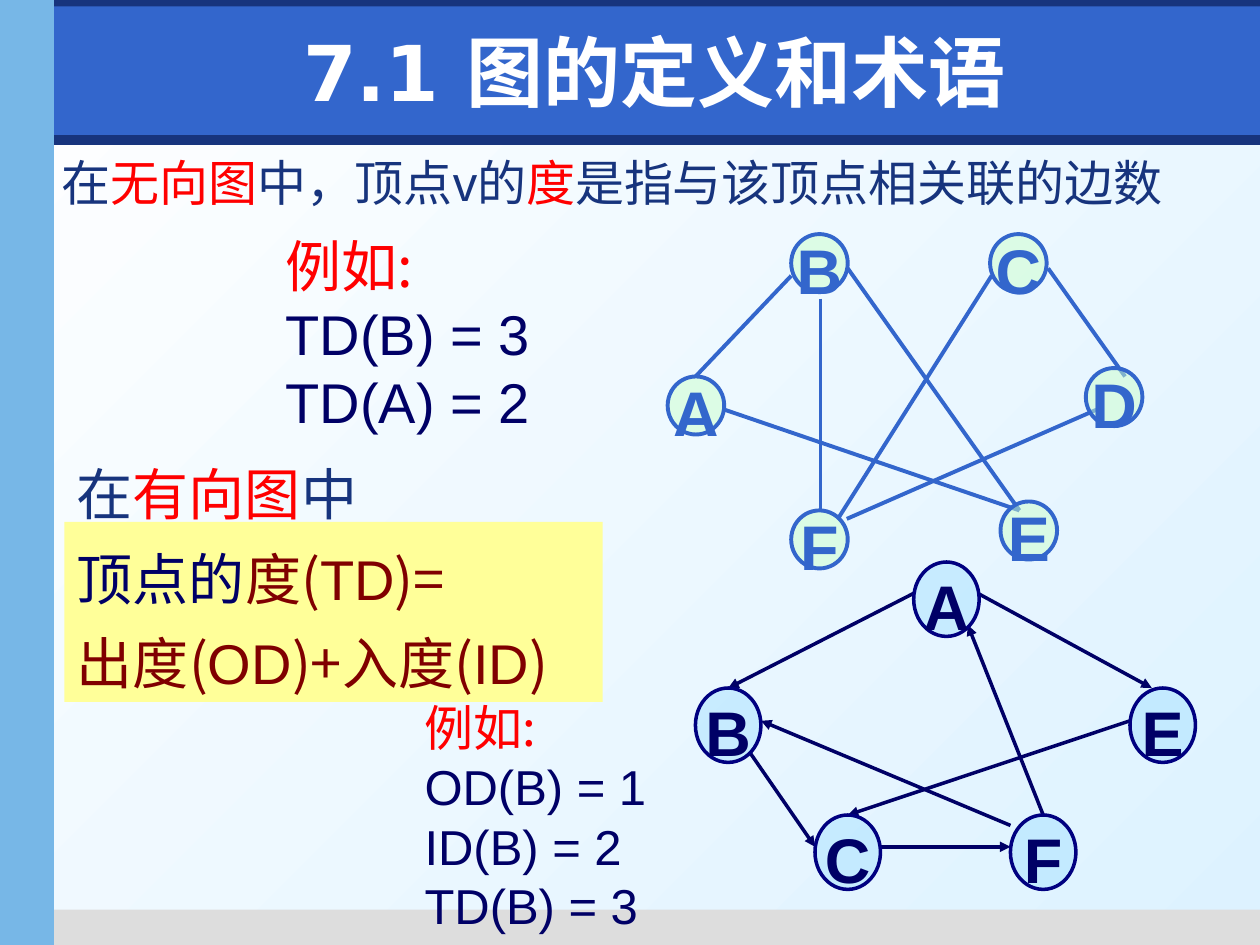
from dataclasses import dataclass

from lxml.etree import SubElement
from pptx import Presentation
from pptx.dml.color import RGBColor
from pptx.enum.shapes import MSO_CONNECTOR as Link, MSO_SHAPE as Form
from pptx.enum.text import MSO_ANCHOR as Anchor, PP_ALIGN as Align
from pptx.oxml.ns import qn
from pptx.util import Cm, Pt

SANS, HAN, BOLD = "Arial", "Noto Sans CJK SC", "DejaVu Sans"
NAVY, DEEP, RED, WINE, BLUE = "17347D", "000066", "FF0000", "800000", "3366CC"


@dataclass
class Run:
    text: str
    hue: str
    font: str = SANS


@dataclass
class Block:
    box: tuple
    size: float
    lines: list
    pitch: float | None = None
    pad: tuple = (0.25, 0)
    fill: str | None = None
    align: Align = Align.LEFT
    lead: float = 0
    bold: bool = False
    anchor: Anchor = Anchor.TOP


@dataclass
class Graph:
    size: tuple
    fill: str
    rim: str
    ink: str
    width: float
    arrow: bool
    nodes: dict
    edges: list


def hue(code: str) -> RGBColor:
    return RGBColor.from_string(code)


def add_run(para, run: Run, size: float, bold: bool) -> None:
    part = para.add_run()
    part.text = run.text
    font = part.font
    font.name, font.size, font.bold = run.font, Pt(size), bold
    font.color.rgb = hue(run.hue)


def add_form(slide, kind: Form, box: tuple, fill: str):
    form = slide.shapes.add_shape(kind, *map(Cm, box))
    form.shadow.inherit = False
    form.fill.solid()
    form.fill.fore_color.rgb = hue(fill)
    form.line.fill.background()
    return form


def add_block(slide, block: Block) -> None:
    if block.fill:
        form = add_form(slide, Form.RECTANGLE, block.box, block.fill)
    else:
        form = slide.shapes.add_textbox(*map(Cm, block.box))
    frame = form.text_frame
    frame.word_wrap = True
    frame.vertical_anchor = block.anchor
    frame.margin_left, frame.margin_right = map(Cm, block.pad)
    for i, line in enumerate(block.lines):
        para = frame.add_paragraph() if i else frame.paragraphs[0]
        para.alignment = block.align
        para.space_before = Pt(block.lead)
        if block.pitch:
            para.line_spacing = Pt(block.pitch)
        for run in line:
            add_run(para, run, block.size, block.bold)


def add_edge(slide, ends: tuple, ink: str, width: float, arrow: bool) -> None:
    edge = slide.shapes.add_connector(Link.STRAIGHT, *map(Cm, ends))
    edge.line.color.rgb = hue(ink)
    edge.line.width = Pt(width)
    props = edge._element.spPr
    if arrow:
        SubElement(props.find(qn("a:ln")), qn("a:tailEnd"), type="triangle")
    SubElement(props, qn("a:effectLst"))


def add_node(slide, name: str, spot: tuple, graph: Graph) -> None:
    node = add_form(slide, Form.OVAL, spot + graph.size, graph.fill)
    tint = node._element.spPr.find(qn("a:solidFill"))[0]
    SubElement(tint, qn("a:alpha"), val="50000")
    node.line.color.rgb = hue(graph.rim)
    node.line.width = Pt(graph.width)
    frame = node.text_frame
    frame.word_wrap = False
    frame.vertical_anchor = Anchor.MIDDLE
    frame.margin_left = frame.margin_right = frame.margin_bottom = 0
    frame.margin_top = Cm(0.25)
    para = frame.paragraphs[0]
    para.alignment = Align.CENTER
    add_run(para, Run(name, graph.ink), 36, True)


def add_graph(slide, graph: Graph) -> None:
    for ends in graph.edges:
        add_edge(slide, ends, graph.ink, graph.width, graph.arrow)
    for name, spot in graph.nodes.items():
        add_node(slide, name, spot, graph)


def sample(*facts: str) -> list:
    return [[Run("例如:", RED, HAN)]] + [[Run(fact, DEEP)] for fact in facts]


BANDS = [
    ((0.1, 2.72, 25.4, 0.2), NAVY),
    ((0.89, 18.34, 24.51, 0.71), "DDDDDD"),
    ((0, -0.08, 25.4, 0.61), NAVY),
    ((1.09, 0.13, 24.31, 2.59), BLUE),
    ((0, 0, 1.09, 19.05), "77B7E7"),
]

PLAIN = Graph(
    (1.14, 1.17), "CCFFCC", BLUE, BLUE, 2.25, False,
    {"A": (13.46, 7.59), "C": (19.96, 4.72), "D": (21.89, 7.42),
     "F": (15.95, 10.29), "E": (20.17, 10.11), "B": (15.95, 4.72)},
    [(15.95, 5.56, 14.02, 7.59), (17.09, 5.41, 20.55, 10.29),
     (14.61, 8.26, 20.55, 10.29), (19.99, 5.56, 16.89, 10.46),
     (21.13, 5.41, 22.68, 7.59), (22.1, 8.26, 17.07, 10.46),
     (16.54, 6.02, 16.54, 10.29)],
)

ARROWS = Graph(
    (1.32, 1.5), "A7E2FF", "000080", DEEP, 2, True,
    {"A": (18.42, 11.33), "B": (14.02, 13.87), "E": (22.78, 13.87),
     "C": (16.43, 16.43), "F": (20.37, 16.43)},
    [(18.42, 11.96, 14.68, 13.87), (15.11, 15.16, 16.43, 17.07),
     (17.75, 17.07, 20.37, 17.07), (21.03, 16.43, 19.51, 12.6),
     (19.71, 11.96, 23.22, 13.87), (20.37, 16.64, 15.34, 14.53),
     (22.78, 14.53, 17.09, 16.43)],
)

RULE = [
    [Run("顶点的", DEEP, HAN), Run("度(", WINE, HAN), Run("TD", WINE),
     Run(")=", WINE, HAN)],
    [Run("出度(", WINE, HAN), Run("OD", WINE), Run(")+入度(", WINE, HAN),
     Run("ID", WINE), Run(")", WINE, HAN)],
]
DEGREE = [[Run("在", NAVY), Run("无向图", RED), Run("中，顶点v的", NAVY),
           Run("度", RED), Run("是指与该顶点相关联的边数", NAVY)]]
CASE = [[Run("在", NAVY), Run("有向图", RED), Run("中", NAVY)]]
TITLE = [[Run("7.1 图的定义和术语", "FFFFFF", BOLD)]]

BLOCKS = [
    Block((5.51, 4.52, 6.2, 4.37), 32, sample("TD(B) = 3", "TD(A) = 2"), 39),
    Block((1.24, 2.97, 22.66, 1.45), 28, DEGREE, 33, (0, 0),
          align=Align.JUSTIFY, lead=3),
    Block((1.3, 10.52, 10.85, 3.63), 32, RULE, 48, fill="FFFF99"),
    Block((8.31, 13.92, 6.1, 5), 28,
          sample("OD(B) = 1", "ID(B) = 2", "TD(B) = 3"), 34),
    Block((1.3, 9.12, 6.22, 1.63), 32, CASE, 39),
    Block((1.5, 0.33, 23.39, 2.21), 44, TITLE, pad=(0.25, 0.25),
          align=Align.CENTER, bold=True, anchor=Anchor.MIDDLE),
]


def main() -> None:
    deck = Presentation()
    deck.slide_width, deck.slide_height = Cm(25.4), Cm(19.05)
    slide = deck.slides.add_slide(deck.slide_layouts[6])
    back = slide.background.fill
    back.gradient()
    back.gradient_angle = 315
    for stop, code in zip(back.gradient_stops, ("FFFFFF", "DDF2FF")):
        stop.color.rgb = hue(code)
    for box, fill in BANDS:
        add_form(slide, Form.RECTANGLE, box, fill)
    for graph in (PLAIN, ARROWS):
        add_graph(slide, graph)
    for block in BLOCKS:
        add_block(slide, block)
    deck.save("out.pptx")


if __name__ == "__main__":
    main()
